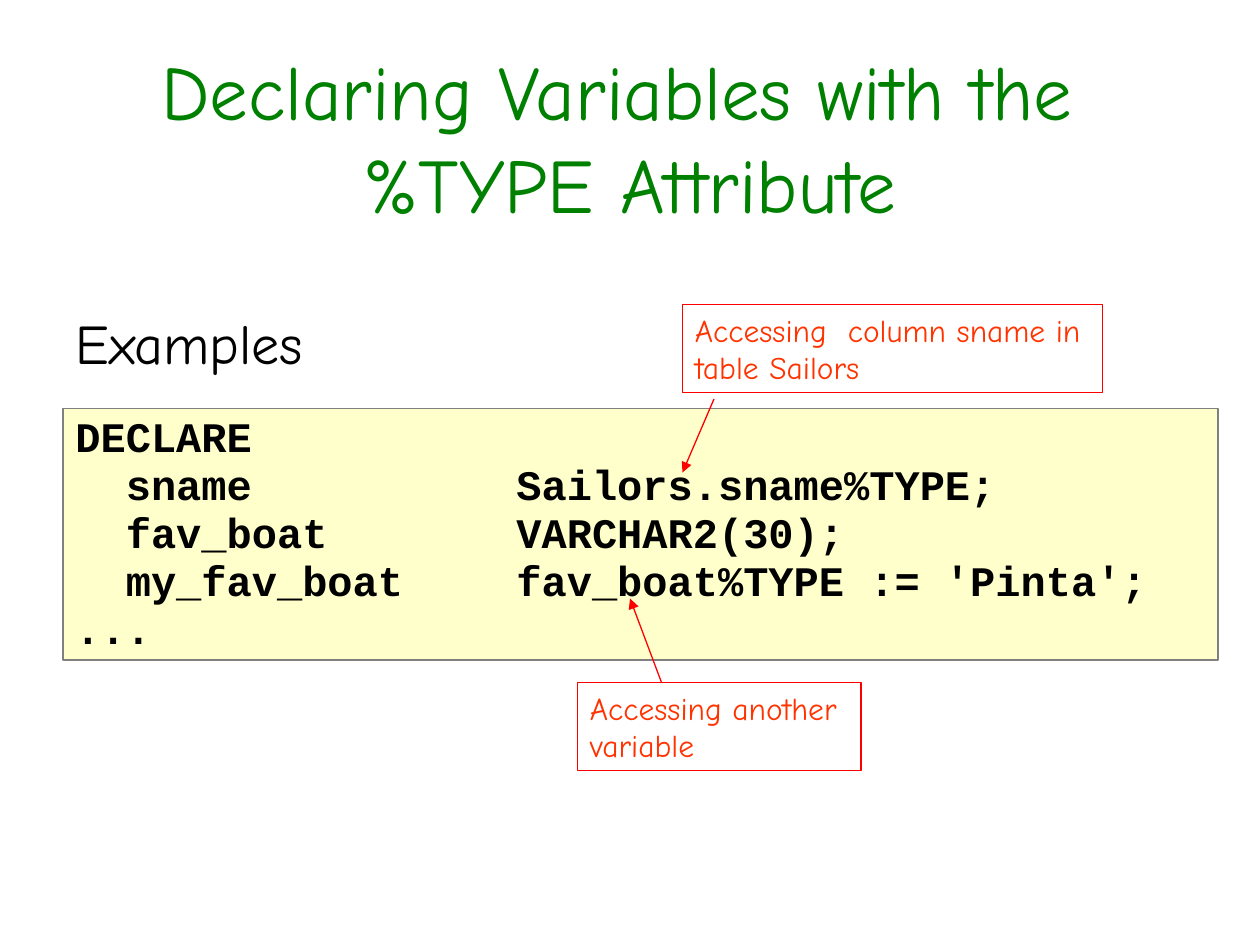
"""Build a slide on declaring variables with the %TYPE attribute."""
from lxml import etree
from pptx import Presentation
from pptx import util as u
from pptx.dml.color import RGBColor
from pptx.enum import shapes, text
from pptx.oxml.ns import qn

COLORS = {"title": "008000", "ink": "000000", "code_fill": "FFFFCC",
          "code_line": "808080", "callout": "FF3300", "accent": "FF0000"}
BODY_FONT, CODE_FONT = "Comic Neue", "Courier New"
CELLS_PER_INCH = 12
TYPE_TAB = 3.5

TITLE = "Declaring Variables with the \v%TYPE Attribute"
HEADING = "Examples"
CODE = ["DECLARE",
        "  sname\tSailors.sname%TYPE;",
        "  fav_boat\tVARCHAR2(30);",
        "  my_fav_boat\tfav_boat%TYPE := 'Pinta';",
        "..."]
CALLOUTS = [
    {"text": "Accessing  column sname in table Sailors",
     "box": (65, 29, 40, 8.4), "arrow": (68, 38, 65, 45)},
    {"text": "Accessing another variable",
     "box": (55, 65, 27, 8.4), "arrow": (63, 65, 60, 57)},
]


def grid(*cells):
    return [u.Inches(cell / CELLS_PER_INCH) for cell in cells]


def color(name):
    return RGBColor.from_string(COLORS[name])


def add_text(slide, content, box, size, ink, font=BODY_FONT, bold=False,
             align=text.PP_ALIGN.LEFT, spacing=None, tab=None,
             fill=None, line=None, line_width=0.75):
    shape = slide.shapes.add_shape(shapes.MSO_SHAPE.RECTANGLE, *grid(*box))
    shape.shadow.inherit = False
    if fill:
        shape.fill.solid()
        shape.fill.fore_color.rgb = color(fill)
    else:
        shape.fill.background()
    if line:
        shape.line.color.rgb = color(line)
        shape.line.width = u.Pt(line_width)
    else:
        shape.line.fill.background()
    frame = shape.text_frame
    frame.word_wrap = True
    frame.vertical_anchor = text.MSO_ANCHOR.TOP
    frame.text = content
    for paragraph in frame.paragraphs:
        paragraph.alignment = align
        if spacing:
            paragraph.line_spacing = spacing
        if tab:
            properties = paragraph._p.get_or_add_pPr()
            stops = etree.SubElement(properties, qn("a:tabLst"))
            etree.SubElement(stops, qn("a:tab"), pos=str(u.Inches(tab)), algn="l")
        for run in paragraph.runs:
            run.font.name = font
            run.font.size = u.Pt(size)
            run.font.bold = bold
            run.font.color.rgb = color(ink)


def add_arrow(slide, ends):
    arrow = slide.shapes.add_connector(shapes.MSO_CONNECTOR.STRAIGHT, *grid(*ends))
    arrow.line.color.rgb = color("accent")
    arrow.line.width = u.Pt(0.75)
    etree.SubElement(arrow.line._get_or_add_ln(), qn("a:tailEnd"), type="triangle")
    etree.SubElement(arrow._element.spPr, qn("a:effectLst"))


def main():
    presentation = Presentation()
    presentation.slide_width, presentation.slide_height = u.Inches(10), u.Inches(7.5)
    slide = presentation.slides.add_slide(presentation.slide_layouts[6])
    add_text(slide, TITLE, (6, 3.6, 108, 18.8), 44, "title",
             align=text.PP_ALIGN.CENTER)
    add_text(slide, HEADING, (6, 28.8, 48, 8), 32, "ink")
    add_text(slide, "\n".join(CODE), (6, 38.9, 110, 24), 24, "ink",
             font=CODE_FONT, bold=True, spacing=0.95, tab=TYPE_TAB,
             fill="code_fill", line="code_line", line_width=1)
    for callout in CALLOUTS:
        add_text(slide, callout["text"], callout["box"], 18, "callout", line="accent")
        add_arrow(slide, callout["arrow"])
    presentation.save("out.pptx")


if __name__ == "__main__":
    main()
